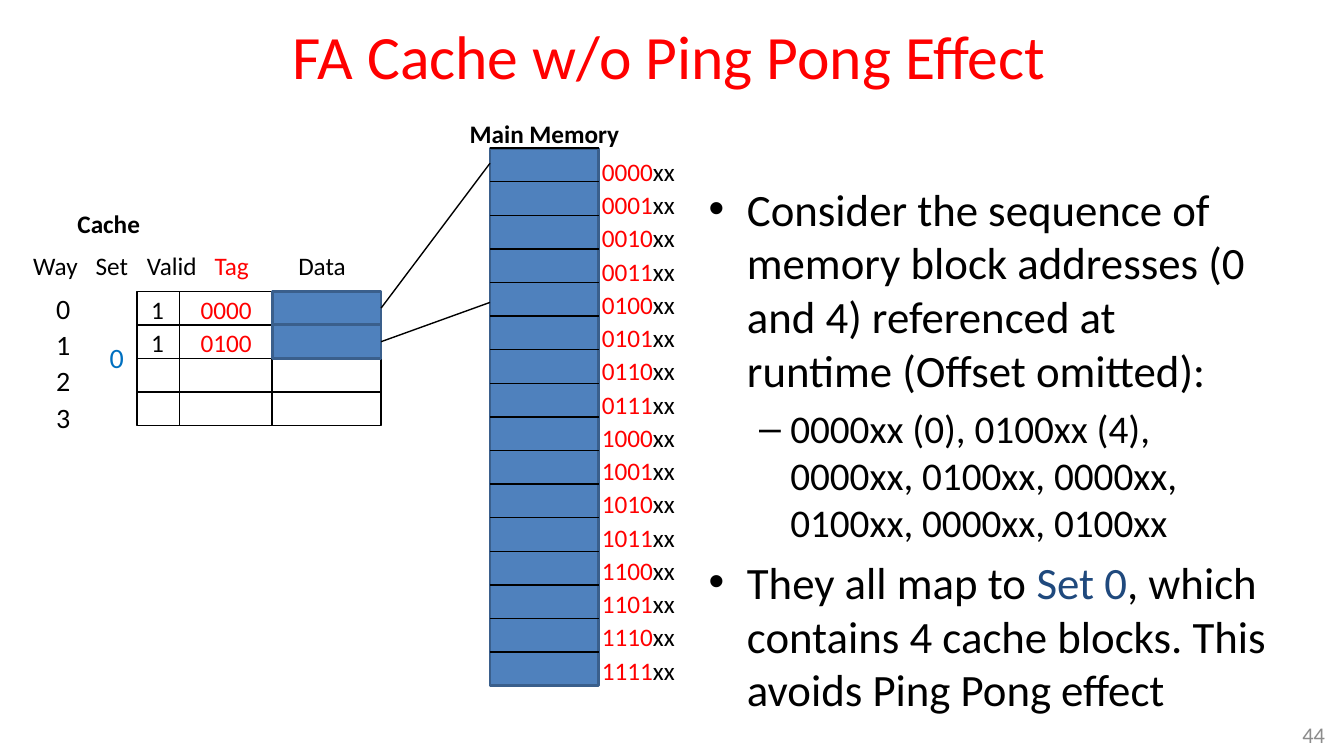
"""Build the slide on a fully associative cache that avoids the ping pong effect."""
from dataclasses import dataclass

from lxml import etree
from pptx import Presentation, util as u
from pptx.dml.color import RGBColor
from pptx.enum import shapes, text
from pptx.oxml.ns import qn


@dataclass(frozen=True)
class Theme:
    font: str = "Calibri"
    black: str = "000000"
    red: str = "FF0000"
    blue: str = "0070C0"
    navy: str = "1F497D"
    grey: str = "8C8C8C"
    block: str = "4F81BD"
    block_edge: str = "3A5F8C"
    title: int = 44
    bullet: int = 32
    sub_bullet: int = 28
    digit: int = 20
    label: int = 18
    page: int = 16


theme = Theme()
prs = Presentation()
prs.slide_width, prs.slide_height = u.Inches(13.33), u.Inches(7.5)
s = prs.slides.add_slide(prs.slide_layouts[6])


def add_text(box, paragraphs, size, bold=False, wrap=False):
    """Add a text box whose paragraphs are lists of (wording, colour) runs."""
    tf = s.shapes.add_textbox(*map(u.Inches, box)).text_frame
    tf.word_wrap = wrap
    for i, runs in enumerate(paragraphs):
        p = tf.add_paragraph() if i else tf.paragraphs[0]
        for wording, color in runs:
            r = p.add_run()
            r.text = wording
            r.font.name, r.font.size, r.font.bold = theme.font, u.Pt(size), bold
            r.font.color.rgb = RGBColor.from_string(color)
    return tf


def add_line(x1, y1, x2, y2):
    """Add a thin black line without shadow."""
    line = s.shapes.add_connector(shapes.MSO_CONNECTOR.STRAIGHT, *map(u.Inches, (x1, y1, x2, y2)))
    line.line.color.rgb = RGBColor.from_string(theme.black)
    line.line.width = u.Pt(1)
    etree.SubElement(line._element.spPr, qn("a:effectLst"))
    return line


tf = add_text((6.93, 1.75, 5.74, 4.95), [
    [("Consider the sequence of memory block addresses (0 and 4) referenced at runtime (Offset omitted):", theme.black)],
    [("0000xx (0), 0100xx (4), 0000xx, 0100xx, 0000xx, 0100xx, 0000xx, 0100xx", theme.black)],
    [("They all map to ", theme.black), ("Set 0", theme.navy),
     (", which contains 4 cache blocks. This avoids Ping Pong effect", theme.black)],
], theme.bullet, wrap=True)
for i, p in enumerate(tf.paragraphs):
    p.level = i % 2
    margin, hang, mark, size = [(0.38, 0.38, "•", theme.bullet), (0.81, 0.31, "–", theme.sub_bullet)][p.level]
    pPr = p._p.get_or_add_pPr()
    pPr.set("marL", str(u.Inches(margin)))
    pPr.set("indent", str(-u.Inches(hang)))
    etree.SubElement(pPr, qn("a:buFont"), typeface="Arial")
    etree.SubElement(pPr, qn("a:buChar"), char=mark)
    if i:
        p.space_before = u.Pt(0.2 * size)
    for r in p.runs:
        r.font.size = u.Pt(size)

tf = add_text((1.53, 0.09, 10.36, 1.03), [[("FA Cache w/o Ping Pong Effect ", theme.red)]], theme.title, wrap=True)
tf.vertical_anchor = text.MSO_ANCHOR.MIDDLE
tf.paragraphs[0].alignment = text.PP_ALIGN.CENTER
tf.paragraphs[0].line_spacing = 0.85

row = 1 / 3
cache_top, cache_rows = 2.89, 4
memory_left, memory_top, memory_rows = 4.86, 1.47, 16
block_width = 1.08
data_left = 2.7

rects = [
    (memory_left, memory_top, block_width, memory_rows, True),
    (1.36, cache_top, 0.42, cache_rows, False),
    (1.78, cache_top, 0.92, cache_rows, False),
    (data_left, cache_top, block_width, cache_rows, False),
    (data_left, cache_top, block_width, 1, True),
    (data_left, cache_top + row, block_width, 1, True),
]
blocks = []
for left, top, width, rows, filled in rects:
    sp = s.shapes.add_shape(shapes.MSO_SHAPE.RECTANGLE, *map(u.Inches, (left, top, width, rows * row)))
    sp.shadow.inherit = False
    if filled:
        sp.fill.solid()
        sp.fill.fore_color.rgb = RGBColor.from_string(theme.block)
    else:
        sp.fill.background()
    sp.line.color.rgb = RGBColor.from_string(theme.block_edge if filled else theme.black)
    sp.line.width = u.Pt(2 if filled else 1)
    for i in range(0 if rows == memory_rows else 1, rows):
        add_line(left, top + i * row, left + width, top + i * row)
    if rows == 1:
        blocks.append(sp)

for i, (block, tag, memory_y) in enumerate(zip(blocks, ("0000", "0100"), (1.62, 3))):
    y = cache_top + (i + 0.5) * row
    add_line(memory_left, memory_y, data_left + block_width, y).end_connect(block, 3)
    for left, width, wording, color in [(1.89, 0.71, tag, theme.red), (1.4, 0.33, "1", theme.black)]:
        tf = add_text((left, y - 0.19, width, 0.4), [[(wording, color)]], theme.label)
        tf.vertical_anchor = text.MSO_ANCHOR.MIDDLE

addresses = [[(f"{i:04b}", theme.red), ("xx", theme.black)] for i in range(memory_rows)]
tf = add_text((5.87, memory_top, 1.08, 5.43), addresses, theme.label, wrap=True)
for p in tf.paragraphs:
    p.line_spacing = 1.1

for left, top, width, wording in [(4.56, 1.12, 1.7, "Main Memory"), (0.67, 2.02, 0.83, "Cache")]:
    add_text((left, top, width, 0.4), [[(wording, theme.black)]], theme.label, bold=True)

for left, width, wording, color in [
    (0.23, 0.65, "Way", theme.black),
    (0.85, 0.53, "Set", theme.black),
    (1.36, 0.7, "Valid", theme.black),
    (2.03, 0.54, "Tag", theme.red),
    (2.86, 0.68, "Data", theme.black),
]:
    add_text((left, 2.43, width, 0.4), [[(wording, color)]], theme.label)

for way in range(cache_rows):
    add_text((0.46, 2.84 + 0.36 * way, 0.34, 0.44), [[(str(way), theme.black)]], theme.digit)
add_text((0.99, 3.33, 0.34, 0.44), [[("0", theme.blue)]], theme.digit)

tf = add_text((12.57, 7.08, 0.67, 0.42), [[("44", theme.grey)]], theme.page, wrap=True)
tf.vertical_anchor = text.MSO_ANCHOR.MIDDLE
tf.paragraphs[0].alignment = text.PP_ALIGN.RIGHT

prs.save("out.pptx")
